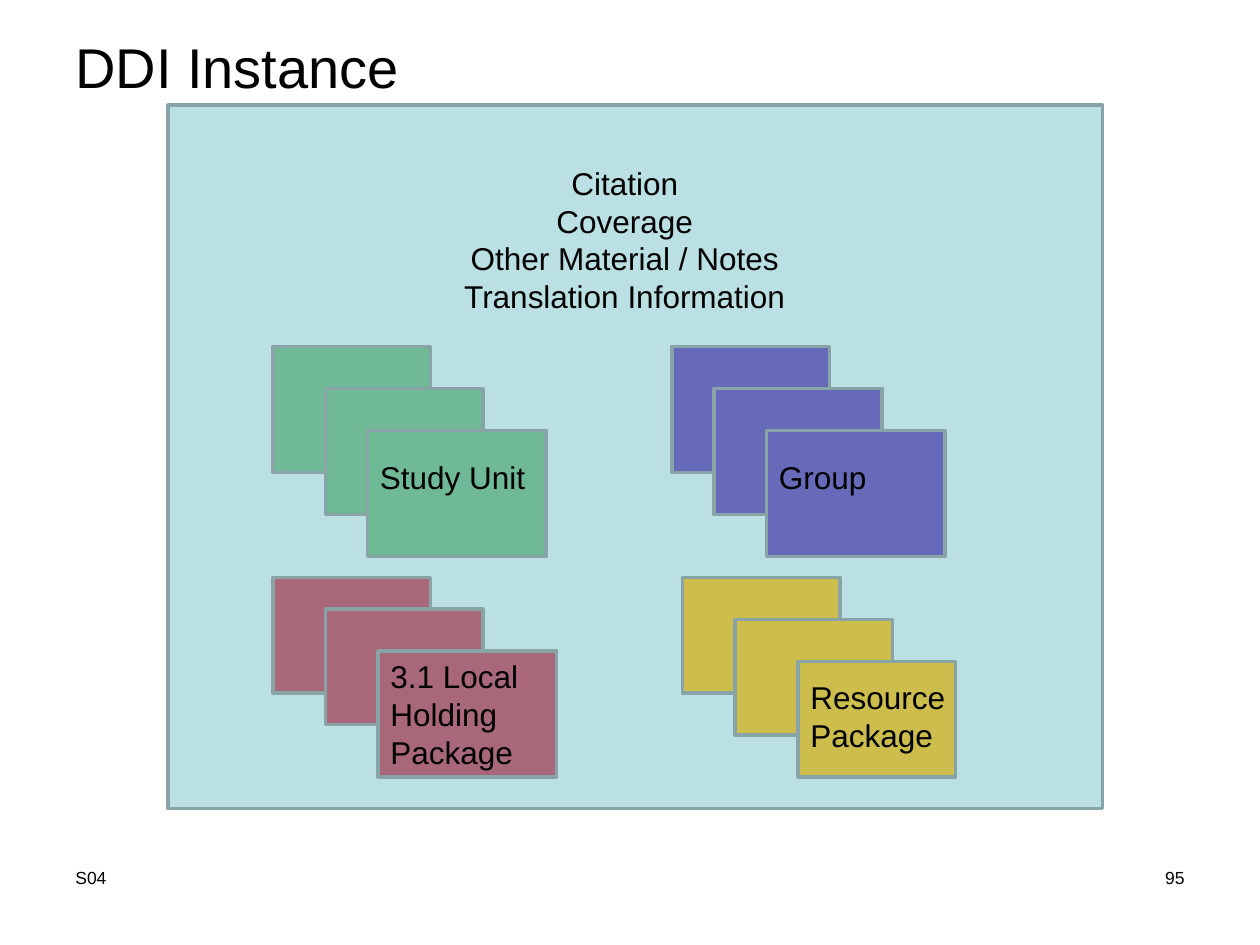
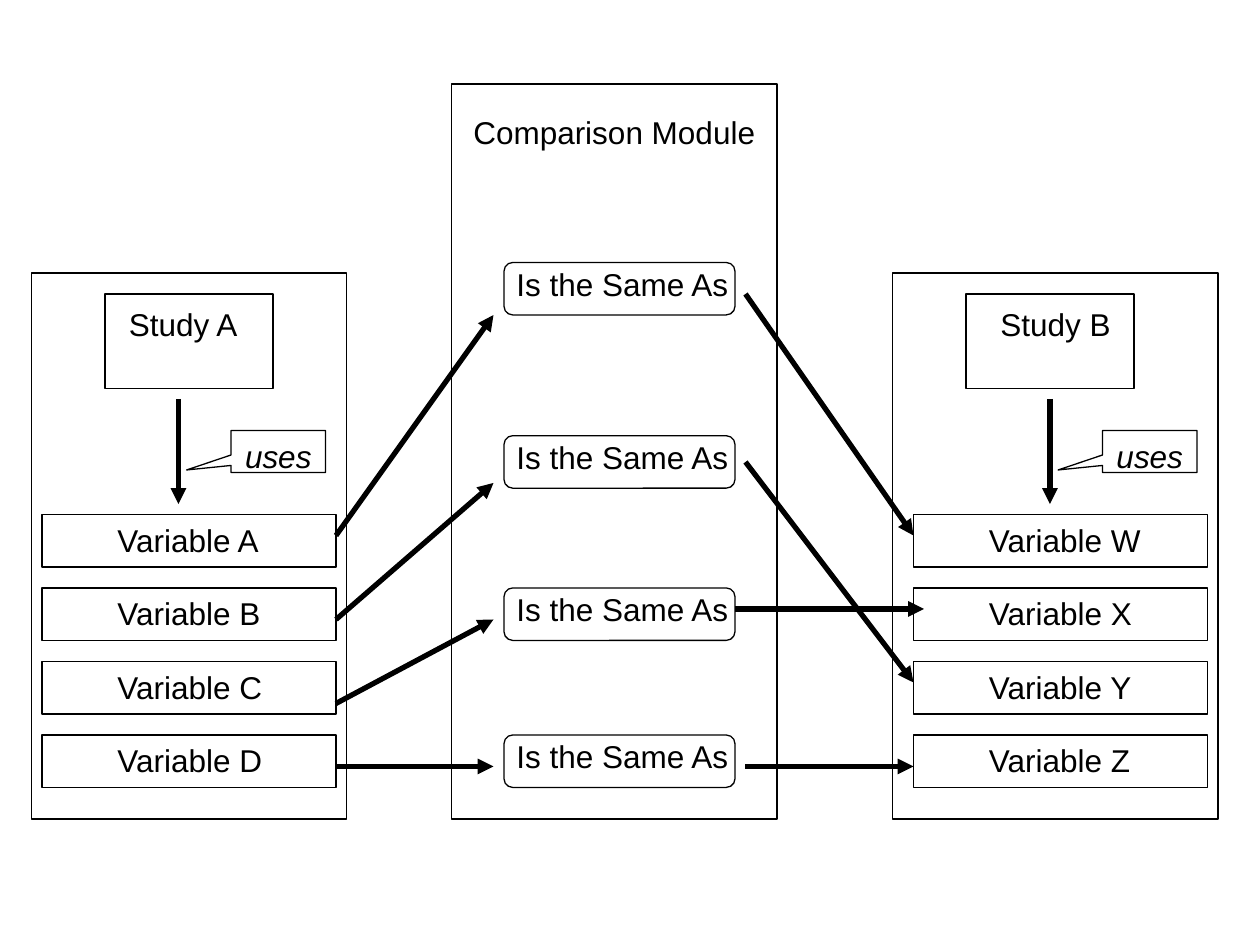
from lxml.etree import SubElement
from pptx import Presentation
from pptx.dml.color import RGBColor
from pptx.enum.shapes import MSO_CONNECTOR, MSO_SHAPE
from pptx.enum.text import MSO_ANCHOR, MSO_AUTO_SIZE, PP_ALIGN
from pptx.oxml.ns import qn
from pptx.util import Cm, Pt

COLOURS = {
    "ink": "000000",
    "panel": "BBE0E3",
    "border": "89A4A7",
    "study": "6FB996",
    "group": "6769B9",
    "local": "A8687A",
    "resource": "CCBD4C",
}
FONT = "Arial"
TITLE_ONLY, BLANK = 5, 6
CELLS_PER_INCH = 12


def cells(count):
    return Cm(count * 2.54 / CELLS_PER_INCH)


def inside(box, left, top, width, height):
    return box[0] + left, box[1] + top, width, height


def colour(name):
    return RGBColor.from_string(COLOURS[name])


def set_attributes(target, values):
    for name, value in values.items():
        setattr(target, name, value)


def write_text(shape, lines, size=18, align=PP_ALIGN.LEFT, italic=False, **frame_format):
    frame = shape.text_frame
    set_attributes(frame, {
        "word_wrap": True,
        "auto_size": MSO_AUTO_SIZE.NONE,
        "vertical_anchor": MSO_ANCHOR.TOP,
        "margin_left": Cm(0.25),
        "margin_right": Cm(0.25),
        "margin_top": Cm(0.13),
        "margin_bottom": Cm(0.13),
        **frame_format,
    })
    frame.text = "\n".join(lines)
    for paragraph in frame.paragraphs:
        paragraph.alignment = align
        set_attributes(paragraph.font, {"name": FONT, "size": Pt(size), "italic": italic})
        paragraph.font.color.rgb = colour("ink")


def add_text(slide, box, lines, **text_format):
    write_text(slide.shapes.add_textbox(*map(cells, box)), lines, **text_format)


def add_box(slide, box, kind=MSO_SHAPE.RECTANGLE, fill=None, line="ink", weight=0.75):
    shape = slide.shapes.add_shape(kind, *map(cells, box))
    shape.shadow.inherit = False
    if fill:
        shape.fill.solid()
        shape.fill.fore_color.rgb = colour(fill)
    else:
        shape.fill.background()
    shape.line.color.rgb = colour(line)
    shape.line.width = Pt(weight)
    return shape


def add_arrow(slide, start, end):
    connector = slide.shapes.add_connector(MSO_CONNECTOR.STRAIGHT, *map(cells, start + end))
    connector.line.color.rgb = colour("ink")
    connector.line.width = Pt(3)
    SubElement(connector.line._get_or_add_ln(), qn("a:tailEnd"), type="triangle")
    SubElement(connector._element.spPr, qn("a:effectLst"))


def add_title(slide, box, text):
    title = slide.shapes.title
    set_attributes(title, dict(zip(("left", "top", "width", "height"), map(cells, box))))
    write_text(title, [text], size=32)


def add_footer(slide, box, section, number):
    left, top, width, height = box
    label_width = 28
    add_text(slide, (left, top, label_width, height), [section], size=10)
    add_text(slide, (left + width - label_width, top, label_width, height), [number],
             size=10, align=PP_ALIGN.RIGHT)


def add_card_stack(slide, box, fill, cards, label, label_drop):
    for card in cards:
        shape = add_box(slide, inside(box, *card), fill=fill, line="border", weight=2)
    write_text(shape, [label], margin_right=0, margin_top=Cm(0.13) + cells(label_drop))


def add_instance_panel(slide, box):
    add_box(slide, box, fill="panel", line="border", weight=2)
    add_text(slide, inside(box, 23, 5, 41, 15.6),
             ["Citation", "Coverage", "Other Material / Notes", "Translation Information"],
             align=PP_ALIGN.CENTER)
    stacks = [
        ((10, 23), "study", [(0, 0, 15, 12), (5, 4, 15, 12), (9, 8, 17, 12)], "Study Unit", 2),
        ((48, 23), "group", [(0, 0, 15, 12), (4, 4, 16, 12), (9, 8, 17, 12)], "Group", 2),
        ((10, 45), "local", [(0, 0, 15, 11), (5, 3, 15, 11), (10, 7, 17, 12)],
         "3.1 Local Holding Package", 0),
        ((49, 45), "resource", [(0, 0, 15, 11), (5, 4, 15, 11), (11, 8, 15, 11)],
         "Resource Package", 1),
    ]
    for origin, fill, cards, label, label_drop in stacks:
        add_card_stack(slide, inside(box, *origin, 27, 20), fill, cards, label, label_drop)


def add_study_panel(slide, box, study, variables, shift=0):
    add_box(slide, box)
    study_box = add_box(slide, inside(box, 7, 2, 16, 9))
    write_text(study_box, [study], margin_left=Cm(0.48) + cells(shift), margin_top=Cm(0.23))
    for row, variable in enumerate(variables):
        variable_box = add_box(slide, inside(box, 1 + shift, 23 + 7 * row, 28, 5))
        write_text(variable_box, [variable], margin_left=Cm(1.52))
    arrow_left, arrow_top = inside(box, 14 + shift, 12, 0, 10)[:2]
    add_arrow(slide, (arrow_left, arrow_top), (arrow_left, arrow_top + 10))
    callout = add_box(slide, inside(box, 19 + shift, 15, 9, 4),
                      MSO_SHAPE.RECTANGULAR_CALLOUT)
    callout.adjustments[0] = -0.97
    callout.adjustments[1] = 0.44
    write_text(callout, ["uses"], align=PP_ALIGN.CENTER, italic=True)


def add_comparison_panel(slide, box):
    panel = add_box(slide, box)
    write_text(panel, ["Comparison Module"], align=PP_ALIGN.CENTER, margin_top=Cm(0.58))
    for top in (17, 33.5, 48, 62):
        relation = add_box(slide, inside(box, 5, top, 22, 5), MSO_SHAPE.ROUNDED_RECTANGLE)
        write_text(relation, ["Is the Same As"], word_wrap=False,
                   margin_left=Cm(0.2), margin_right=0, margin_top=0)


def add_variable_links(slide):
    for start_top, end_top in ((51, 30), (59, 46), (67, 59), (73, 73)):
        add_arrow(slide, (32, start_top), (47, end_top))
    for start, end in (((71, 28), (87, 51)), ((71, 44), (87, 65)),
                       ((70, 58), (88, 58)), ((71, 73), (87, 73))):
        add_arrow(slide, start, end)


def build_instance_slide(presentation):
    slide = presentation.slides.add_slide(presentation.slide_layouts[TITLE_ONLY])
    add_title(slide, (6, 2.5, 108, 7), "DDI Instance")
    add_instance_panel(slide, (16, 10, 89, 67))
    add_footer(slide, (6, 82, 108, 6.2), "S04", "95")


def build_comparison_slide(presentation):
    slide = presentation.slides.add_slide(presentation.slide_layouts[BLANK])
    add_study_panel(slide, (3, 26, 30, 52), "Study A",
                    [f"Variable {letter}" for letter in "ABCD"])
    add_study_panel(slide, (85, 26, 31, 52), "Study B",
                    [f"Variable {letter}" for letter in "WXYZ"], shift=1)
    add_comparison_panel(slide, (43, 8, 31, 70))
    add_variable_links(slide)


def main():
    presentation = Presentation()
    presentation.slide_width = Cm(25.4)
    presentation.slide_height = Cm(19.05)
    build_instance_slide(presentation)
    build_comparison_slide(presentation)
    presentation.save("out.pptx")


if __name__ == "__main__":
    main()
